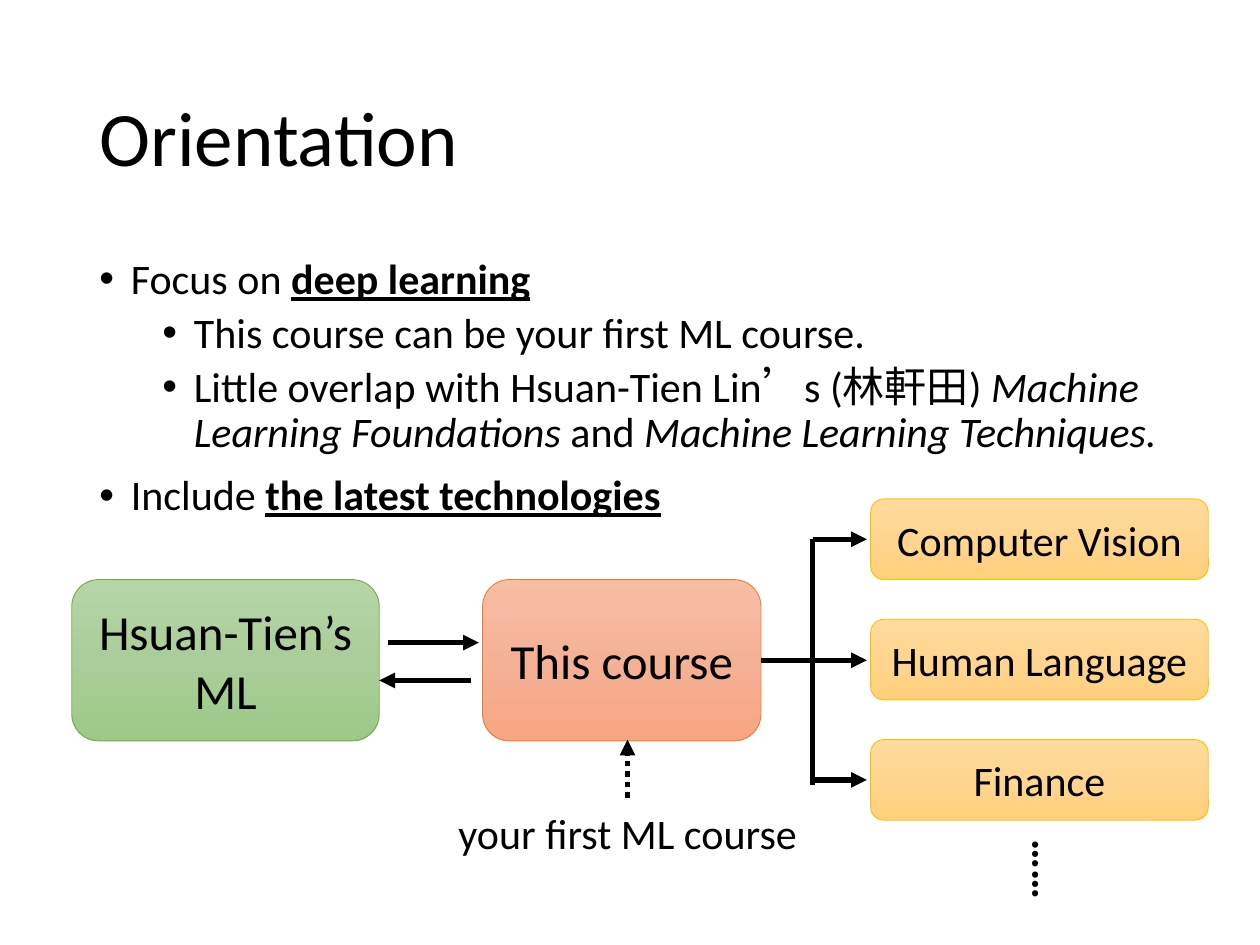
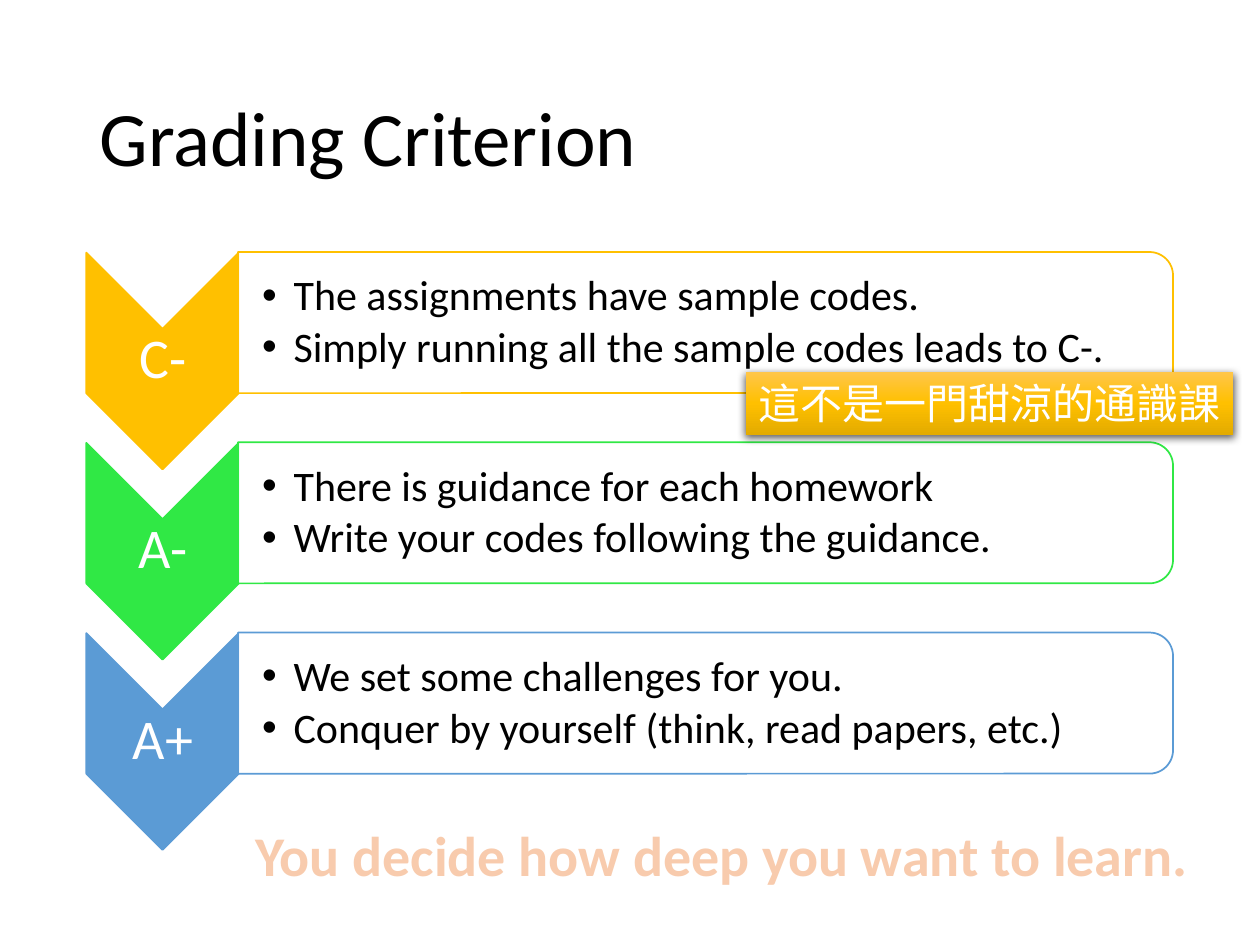
from copy import deepcopy

from lxml import etree
from pptx import Presentation
from pptx.dml.color import RGBColor
from pptx.enum.dml import MSO_LINE_DASH_STYLE as DASH
from pptx.enum.shapes import MSO_CONNECTOR, MSO_SHAPE as SHAPE
from pptx.enum.text import MSO_ANCHOR as ANCHOR, PP_ALIGN as ALIGN
from pptx.oxml.ns import qn
from pptx.util import Inches, Pt

LATIN, CJK = "Calibri", "Noto Sans CJK SC"
COLORS = {
    "black": "000000", "white": "FFFFFF", "gold": "FFC000", "lime": "30E845",
    "blue": "5B9BD5", "orange": "ED7D31", "green": "70AD47", "peach": "F8CBAD",
}
GRADIENTS = {
    "orange": ("F7BDA5", "F5B196", "F8A582"),
    "gold": ("FFDB9E", "FFD590", "FFD07C"),
    "green": ("B5D5A7", "AACE9A", "9CC987"),
    "banner": ("FFC64B", "FFC000", "E3AB00"),
}


def rgb(name):
    return RGBColor.from_string(COLORS[name])


def sub(parent, tag, **attributes):
    return etree.SubElement(parent, qn(tag), attributes)


def add_run(paragraph, text, size, color="black", style="", font=LATIN):
    """Add one run; style holds any of the letters b, i and u."""
    run = paragraph.add_run()
    run.text = text
    run.font.size, run.font.name = Pt(size), font
    run.font.color.rgb = rgb(color)
    for letter, attribute in (("b", "bold"), ("i", "italic"), ("u", "underline")):
        if letter in style:
            setattr(run.font, attribute, True)
    sub(run.font._element, "a:ea", typeface=CJK)
    return run


def add_bullet(paragraph, runs, indent=0.25, before=0, after=0):
    paragraph.line_spacing = 0.9
    paragraph.space_before, paragraph.space_after = Pt(before), Pt(after)
    properties = paragraph._p.get_or_add_pPr()
    properties.set("marL", str(Inches(indent)))
    properties.set("indent", str(Inches(-0.25)))
    sub(properties, "a:buFont", typeface="Arial")
    sub(properties, "a:buChar", char="•")
    for text, *style in runs:
        add_run(paragraph, text, 24, "black", *style)


def next_paragraph(frame, index):
    return frame.add_paragraph() if index else frame.paragraphs[0]


def text_frame(slide, left, top, width, height, anchor=ANCHOR.TOP, insets=None):
    box = slide.shapes.add_textbox(*map(Inches, (left, top, width, height)))
    frame = box.text_frame
    frame.word_wrap, frame.vertical_anchor = True, anchor
    if insets:
        (frame.margin_left, frame.margin_top,
         frame.margin_right, frame.margin_bottom) = map(Inches, insets)
    return frame


def add_preset(slide, kind, left, top, width, height, line, weight):
    shape = slide.shapes.add_shape(kind, *map(Inches, (left, top, width, height)))
    shape.shadow.inherit = False
    if line:
        shape.line.color.rgb, shape.line.width = rgb(line), Pt(weight)
    else:
        shape.line.fill.background()
    return shape


def fill_gradient(shape, name):
    """Fill from top to bottom through three evenly spaced colours."""
    shape.fill.gradient()
    shape.fill.gradient_angle = 270
    stops = shape.element.spPr.find(".//" + qn("a:gsLst"))
    stops.insert(1, deepcopy(stops[0]))
    for index, (stop, color) in enumerate(zip(shape.fill.gradient_stops, GRADIENTS[name])):
        stop.position = index / 2
        stop.color.rgb = RGBColor.from_string(color)


def add_course(slide, lines, left, top, width, height, tint, size):
    course = add_preset(slide, SHAPE.ROUNDED_RECTANGLE, left, top, width, height, tint, 0.5)
    fill_gradient(course, tint)
    frame = course.text_frame
    frame.word_wrap, frame.vertical_anchor = True, ANCHOR.MIDDLE
    for index, line in enumerate(lines):
        paragraph = next_paragraph(frame, index)
        paragraph.alignment = ALIGN.CENTER
        add_run(paragraph, line, size)
    return course


def add_line(slide, start, end, arrow=True, dash=None):
    line = slide.shapes.add_connector(
        MSO_CONNECTOR.STRAIGHT, *map(Inches, (*start, *end)))
    line.line.color.rgb, line.line.width = rgb("black"), Pt(3)
    if dash:
        line.line.dash_style = dash
    if arrow:
        sub(line.line._get_or_add_ln(), "a:tailEnd", type="triangle")
    sub(line.element.spPr, "a:effectLst")
    return line


def add_titled_slide(deck, text):
    slide = deck.slides.add_slide(deck.slide_layouts[5])
    title = slide.shapes.title
    title.left, title.top, title.width, title.height = map(Inches, (0.69, 0.4, 8.62, 1.45))
    title.text_frame.vertical_anchor = ANCHOR.MIDDLE
    paragraph = title.text_frame.paragraphs[0]
    paragraph.alignment, paragraph.line_spacing = ALIGN.LEFT, 0.9
    add_run(paragraph, text, 44)
    return slide


def add_orientation(deck):
    slide = add_titled_slide(deck, "Orientation")
    points = [
        (0, [("Focus on ",), ("deep learning", "bu")]),
        (1, [("This course can be your first ML course.",)]),
        (1, [("Little overlap with Hsuan-Tien Lin",), ("’", "", CJK), ("s (林軒田) ",),
             ("Machine Learning Foundations ", "i"), ("and ",),
             ("Machine Learning Techniques.", "i")]),
        (0, [("Include ",), ("the latest technologies", "bu")]),
    ]
    frame = text_frame(slide, 0.69, 2, 8.62, 4.76)
    for index, (level, runs) in enumerate(points):
        add_bullet(next_paragraph(frame, index), runs,
                   indent=0.25 + 0.5 * level, before=5 if level else 10)

    this_course = add_course(slide, ["This course"], 3.83, 4.6, 2.21, 1.28, "orange", 28)
    add_course(slide, ["Hsuan-Tien’s", "ML"], 0.57, 4.6, 2.44, 1.28, "green", 28)
    for index, field in enumerate(("Computer Vision", "Human Language", "Finance")):
        add_course(slide, [field], 6.91, 3.96 + 0.955 * index, 2.68, 0.64, "gold", 24)

    first_course = text_frame(slide, 3.54, 6.36, 2.99, 0.5)
    add_run(first_course.paragraphs[0], "your first ML course", 24)
    add_line(slide, (4.98, 6.33), (4.98, 5.87), dash=DASH.ROUND_DOT)
    add_line(slide, (3.08, 5.1), (3.8, 5.1))
    add_line(slide, (3.74, 5.4), (3.01, 5.4))

    add_line(slide, (6.04, 5.24), (6.88, 5.24)).begin_connect(this_course, 3)
    for branch_y in (4.28, 6.19):
        add_line(slide, (6.45, branch_y), (6.88, branch_y))
    add_line(slide, (6.45, 4.28), (6.45, 6.23), arrow=False)

    more_fields = slide.shapes.add_textbox(*map(Inches, (7.91, 6.73, 0.83, 0.5)))
    more_fields.rotation = 90
    more_fields.text_frame.word_wrap = True
    add_run(more_fields.text_frame.paragraphs[0], "……", 24, style="b")


def add_grade(slide, top, grade, color, criteria):
    """Add one row: a downward chevron with the grade, and its criteria panel."""
    chevron = add_preset(slide, SHAPE.CHEVRON, 0.43, top + 0.26, 1.72, 1.21, color, 1)
    panel = add_preset(slide, SHAPE.ROUND_2_SAME_RECTANGLE,
                       5.04, top - 3.15, 1.12, 7.42, color, 1)
    for shape, fill in ((chevron, color), (panel, "white")):
        shape.rotation = 90
        shape.fill.solid()
        shape.fill.fore_color.rgb = rgb(fill)
    panel_color = panel.element.spPr.find(qn("a:solidFill"))[0]
    sub(panel_color, "a:alpha", val="90000")

    label = text_frame(slide, 0.69, top + 0.6, 1.21, 0.52, ANCHOR.MIDDLE, [0.02] * 4)
    paragraph = label.paragraphs[0]
    paragraph.alignment, paragraph.line_spacing = ALIGN.CENTER, 0.9
    paragraph.space_after = Pt(11)
    add_run(paragraph, grade, 32, "white")

    frame = text_frame(slide, 1.89, top + 0.06, 7.36, 1.01, ANCHOR.MIDDLE,
                       (0.19, 0.02, 0.02, 0.02))
    for index, criterion in enumerate(criteria):
        add_bullet(next_paragraph(frame, index), [(criterion,)], after=3.6)


def add_motto(slide):
    frame = text_frame(slide, 1.83, 6.46, 7.8, 0.64)
    paragraph = frame.paragraphs[0]
    paragraph.alignment = ALIGN.CENTER
    run = add_run(paragraph, "You decide how deep you want to learn.", 32, "peach", "b")
    outline = etree.Element(qn("a:ln"), w=str(Pt(1.75)))
    sub(sub(outline, "a:solidFill"), "a:srgbClr", val=COLORS["orange"])
    run.font._element.insert(0, outline)


def add_banner(slide):
    banner = add_preset(slide, SHAPE.RECTANGLE, 5.92, 2.95, 3.87, 0.5, None, 0)
    fill_gradient(banner, "banner")
    shadow = sub(banner.element.spPr.find(qn("a:effectLst")), "a:outerShdw",
                 blurRad=str(Pt(4.5)), dist=str(Pt(1.5)), dir="5400000", rotWithShape="0")
    sub(sub(shadow, "a:srgbClr", val=COLORS["black"]), "a:alpha", val="63000")
    banner.text_frame.word_wrap = False
    paragraph = banner.text_frame.paragraphs[0]
    paragraph.alignment = ALIGN.CENTER
    add_run(paragraph, "這不是一門甜涼的通識課", 24, "white", font=CJK)


def add_grading(deck):
    slide = add_titled_slide(deck, "Grading Criterion")
    grades = [
        ("C-", "gold", ("The assignments have sample codes.",
                        "Simply running all the sample codes leads to C-.")),
        ("A-", "lime", ("There is guidance for each homework",
                        "Write your codes following the guidance.")),
        ("A+", "blue", ("We set some challenges for you.",
                        "Conquer by yourself (think, read papers, etc.)")),
    ]
    for index, grade in enumerate(grades):
        add_grade(slide, 2 + 1.51 * index, *grade)
    add_motto(slide)
    add_banner(slide)


def main():
    deck = Presentation()
    deck.slide_width, deck.slide_height = Inches(10), Inches(7.5)
    add_orientation(deck)
    add_grading(deck)
    deck.save("out.pptx")


if __name__ == "__main__":
    main()
